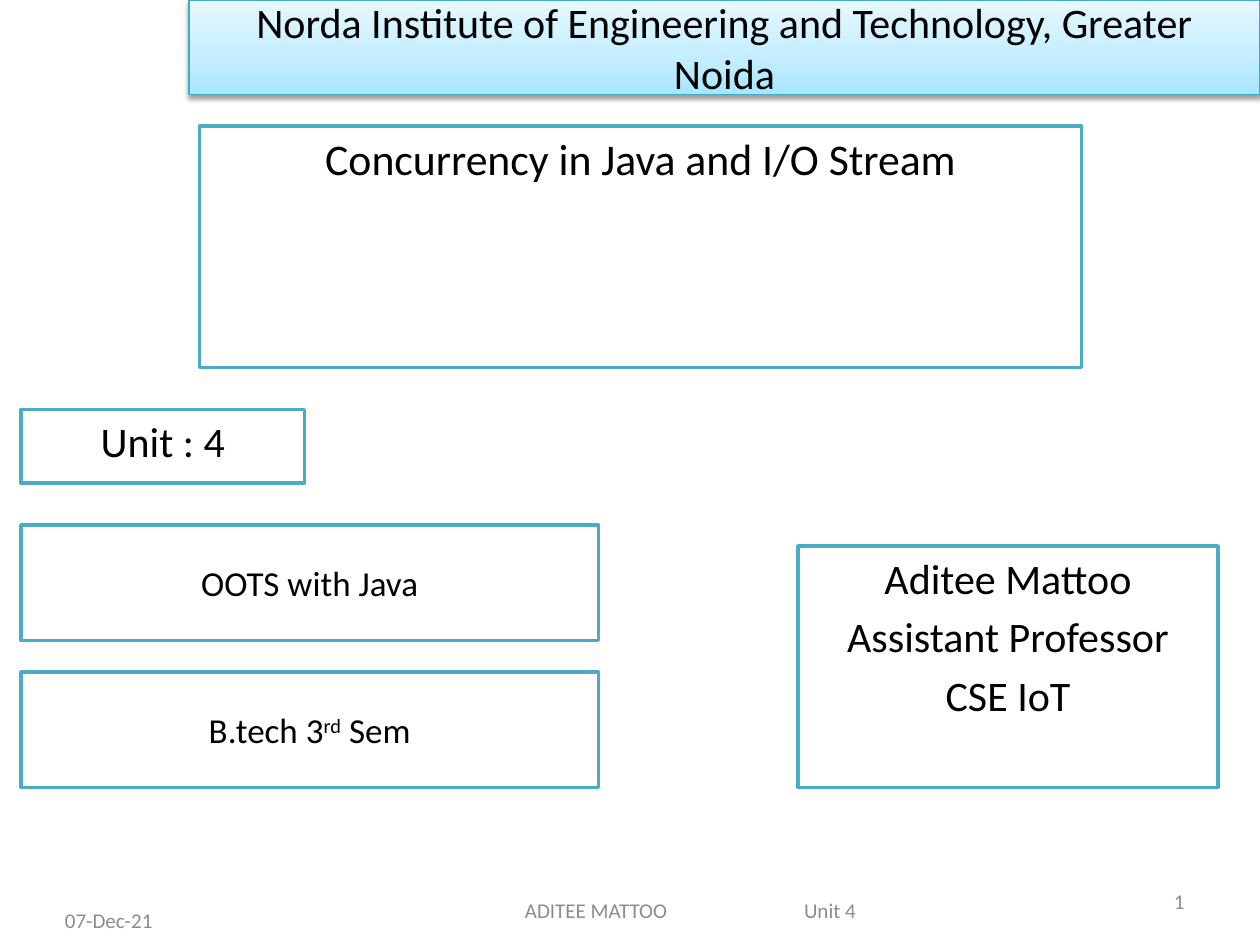
from dataclasses import dataclass

from lxml import etree
from pptx import Presentation
from pptx.dml.color import RGBColor
from pptx.enum.shapes import MSO_SHAPE as Preset
from pptx.enum.text import MSO_ANCHOR as Anchor, PP_ALIGN as Align
from pptx.oxml import parse_xml
from pptx.oxml.ns import nsdecls, qn
from pptx.util import Pt

FONT = "Calibri"
COLORS = {
    "text": "000000",
    "footer": "8C8C8C",
    "panel": "FFFFFF",
    "panel_line": "4BACC6",
    "banner_line": "46AAC5",
    "shadow": "000000",
}
BANNER_STOPS = [(0, "A7E6FF"), (35, "C1EDFF"), (100, "E7F8FF")]


@dataclass
class Panel:
    """An outlined box; each line is a list of (text, baseline percent)."""
    left: float
    top: float
    width: float
    height: float
    size: float
    lines: list
    anchor: Anchor = Anchor.TOP


@dataclass
class FooterItem:
    left: float
    top: float
    width: float
    height: float
    text: str
    align: Align = Align.LEFT
    inset: float = 7.2
    tab: float = 0


PANELS = [
    Panel(114, 72, 504, 138, 25, [[("Concurrency in Java and I/O Stream", 0)]]),
    Panel(456, 312, 240, 138, 24, [[("Aditee Mattoo", 0)],
                                   [("Assistant Professor", 0)],
                                   [("CSE IoT", 0)]]),
    Panel(12, 234, 162, 42, 24, [[("Unit : 4", 0)]]),
    Panel(12, 300, 330, 66, 20, [[("OOTS with Java", 0)]], Anchor.MIDDLE),
    Panel(12, 384, 330, 66, 20,
          [[("B.tech 3", 0), ("rd", 30), (" Sem", 0)]], Anchor.MIDDLE),
]
FOOTER = [
    FooterItem(30, 511, 168, 29, "07-Dec-21"),
    FooterItem(516, 500.5, 168, 29, "1", Align.RIGHT),
    FooterItem(198, 500.5, 396, 39.5, "ADITEE MATTOO\tUnit 4", inset=102, tab=159.5),
]


def rgb(name: str) -> RGBColor:
    return RGBColor.from_string(COLORS[name])


def write(shape, lines: list, *, size: float, color: str = "text",
          align: Align = Align.CENTER, anchor: Anchor = Anchor.MIDDLE,
          before: float = 0) -> None:
    frame = shape.text_frame
    frame.word_wrap = True
    frame.vertical_anchor = anchor
    for index, pieces in enumerate(lines):
        paragraph = frame.add_paragraph() if index else frame.paragraphs[0]
        paragraph.alignment = align
        paragraph.space_before = Pt(before)
        for text, baseline in pieces:
            run = paragraph.add_run()
            run.text = text
            run.font.name = FONT
            run.font.size = Pt(size)
            run.font.color.rgb = rgb(color)
            if baseline:
                run.font._element.set("baseline", str(baseline * 1000))


def add_box(slide, left: float, top: float, width: float, height: float,
            line: str, weight: float):
    box = slide.shapes.add_shape(Preset.RECTANGLE, Pt(left), Pt(top),
                                 Pt(width), Pt(height))
    box.shadow.inherit = False
    box.fill.solid()
    box.fill.fore_color.rgb = rgb("panel")
    box.line.color.rgb = rgb(line)
    box.line.width = Pt(weight)
    return box


def add_banner(slide, title: str) -> None:
    banner = add_box(slide, 108, 0, 612, 54, "banner_line", 0.75)
    properties = banner._element.spPr
    # Vertical gradient, darkest at the bottom
    stops = "".join(f'<a:gs pos="{position * 1000}"><a:srgbClr val="{color}"/></a:gs>'
                    for position, color in BANNER_STOPS)
    gradient = parse_xml(f'<a:gradFill {nsdecls("a")} rotWithShape="1">'
                         f'<a:gsLst>{stops}</a:gsLst>'
                         '<a:lin ang="16200000" scaled="0"/></a:gradFill>')
    properties.replace(properties.find(qn("a:solidFill")), gradient)
    # Soft shadow below
    shadow = etree.SubElement(properties.find(qn("a:effectLst")), qn("a:outerShdw"),
                              blurRad=str(Pt(3.1)), dist=str(Pt(1.6)),
                              dir="5400000", rotWithShape="0")
    tint = etree.SubElement(shadow, qn("a:srgbClr"), val=COLORS["shadow"])
    etree.SubElement(tint, qn("a:alpha"), val="38000")
    write(banner, [[(title, 0)]], size=24)


def add_panel(slide, panel: Panel) -> None:
    box = add_box(slide, panel.left, panel.top, panel.width, panel.height,
                  "panel_line", 2)
    write(box, panel.lines, size=panel.size, anchor=panel.anchor,
          before=panel.size * 0.2)


def add_footer_item(slide, item: FooterItem) -> None:
    box = slide.shapes.add_textbox(Pt(item.left), Pt(item.top),
                                   Pt(item.width), Pt(item.height))
    box.text_frame.margin_left = Pt(item.inset)
    write(box, [[(item.text, 0)]], size=12, color="footer", align=item.align)
    if item.tab:
        properties = box.text_frame.paragraphs[0]._p.get_or_add_pPr()
        tabs = etree.SubElement(properties, qn("a:tabLst"))
        etree.SubElement(tabs, qn("a:tab"), pos=str(Pt(item.tab)), algn="l")


def main() -> None:
    deck = Presentation()
    deck.slide_width, deck.slide_height = Pt(720), Pt(540)
    slide = deck.slides.add_slide(deck.slide_layouts[6])

    # Institute banner
    add_banner(slide, "Norda Institute of Engineering and Technology, Greater Noida")
    # Topic, lecturer, unit and course
    for panel in PANELS:
        add_panel(slide, panel)
    # Date, page number and lecturer line
    for item in FOOTER:
        add_footer_item(slide, item)

    deck.save("out.pptx")


if __name__ == "__main__":
    main()
